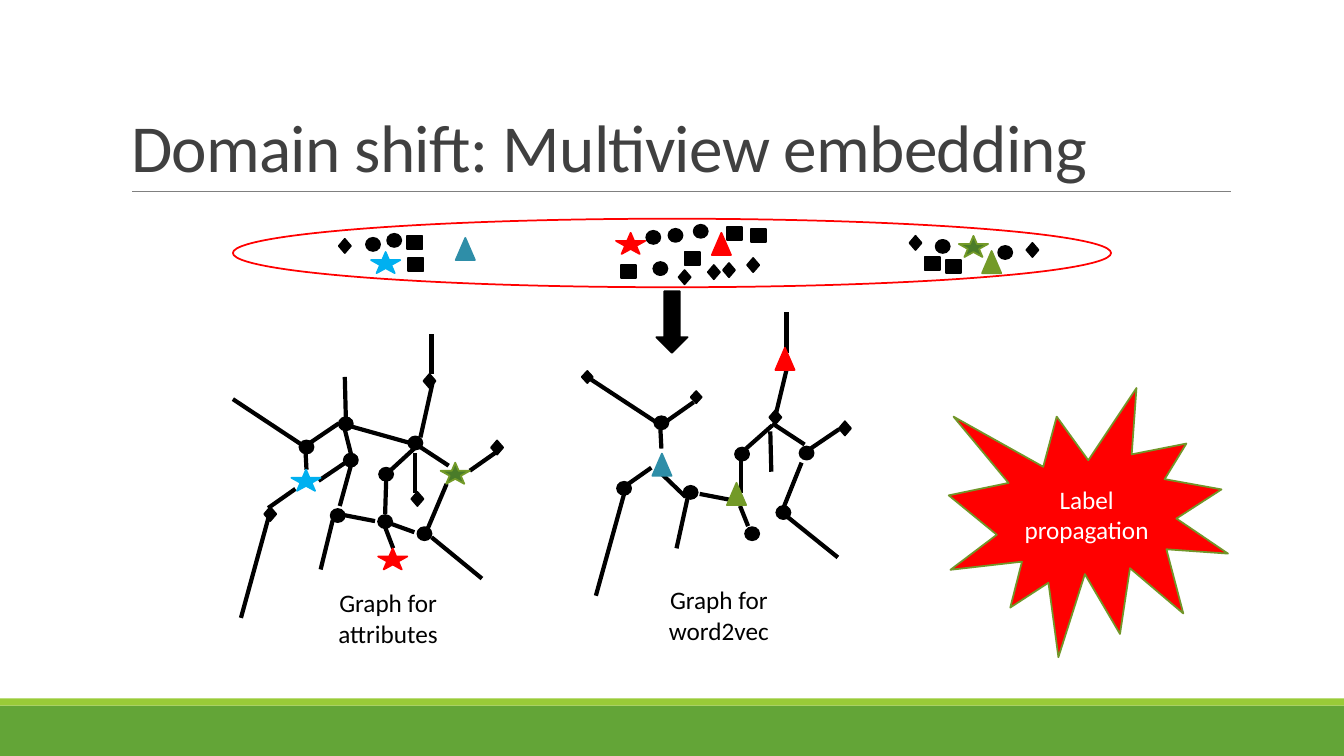
from lxml import etree
from pptx import Presentation
from pptx import util as u
from pptx.dml.color import RGBColor
from pptx.enum import shapes, text
from pptx.oxml import ns

PX = 9144  # 100 px to the inch
KIND = shapes.MSO_SHAPE


def paint(fill, colour):
    if colour is None:
        fill.background()
    else:
        fill.solid()
        fill.fore_color.rgb = RGBColor.from_string(colour)


def write(frame, words, size=18, colour="000000", align="CENTER", anchor="MIDDLE",
          line_spacing=None, tracking=None):
    frame.word_wrap = True
    frame.auto_size = text.MSO_AUTO_SIZE.NONE
    frame.vertical_anchor = text.MSO_ANCHOR[anchor]
    paragraph = frame.paragraphs[0]
    paragraph.alignment = text.PP_ALIGN[align]
    paragraph.line_spacing = line_spacing
    run = paragraph.add_run()
    run.text = words
    run.font.size = u.Pt(size)
    run.font.name = "Calibri"
    paint(run.font.fill, colour)
    if tracking is not None:
        run.font._element.set("spc", str(tracking))


deck = Presentation()
deck.slide_width, deck.slide_height = 1333 * PX, 750 * PX
slide = deck.slides.add_slide(deck.slide_layouts[5])

# Title
title = slide.shapes.title
title.left, title.top, title.width, title.height = (v * PX for v in (120, 31, 1100, 159))
write(title.text_frame, "Domain shift: Multiview embedding", size=48, colour="404040",
      align="LEFT", anchor="BOTTOM", line_spacing=0.85, tracking=-50)

# Edges of the two graphs: x1, y1, x2, y2
attribute_edges = [
    (308, 439, 336, 420), (337, 502, 348, 462), (348, 423, 405, 439),
    (343, 414, 342, 374), (304, 466, 303, 447), (266, 504, 293, 485),
    (231, 396, 299, 441), (348, 450, 342, 426), (316, 477, 344, 458),
    (413, 441, 445, 462), (388, 466, 413, 443), (341, 511, 372, 517),
    (318, 565, 330, 516), (382, 510, 383, 477), (424, 525, 443, 480),
    (386, 519, 411, 528), (390, 544, 382, 523), (417, 434, 429, 380),
    (466, 467, 493, 448), (428, 533, 478, 574), (412, 489, 412, 449),
    (428, 371, 428, 331), (239, 613, 267, 511),
]
word2vec_edges = [
    (661, 418, 688, 399), (656, 445, 655, 426), (619, 483, 646, 464),
    (584, 375, 651, 419), (653, 467, 680, 493), (766, 420, 798, 441),
    (740, 445, 766, 422), (694, 490, 725, 496), (671, 544, 682, 494),
    (735, 489, 735, 456), (777, 504, 795, 459), (742, 522, 734, 502),
    (769, 413, 782, 359), (804, 445, 832, 426), (780, 512, 831, 553),
    (765, 468, 764, 428), (780, 350, 780, 310), (591, 591, 619, 490),
]

# Title rule, then the graph edges
for edges, colour, weight in [
    ([(131, 190, 1221, 190)], "808080", 0.5),
    (attribute_edges + word2vec_edges, "000000", 3),
]:
    for ends in edges:
        edge = slide.shapes.add_connector(shapes.MSO_CONNECTOR.STRAIGHT, *(v * PX for v in ends))
        paint(edge.line.fill, colour)
        edge.line.width = u.Pt(weight)
        etree.SubElement(edge._element.spPr, ns.qn("a:effectLst"))

# Footer bars, embedding space, arrow and nodes: kind, size, fill, line, corners
BLACK = ("000000", "000000")
RED = ("FF0000", "FF0000")
BLUE = ("00B0F0", "00B0F0")
TEAL = ("2E8EA8", "2E8EA8")
GREEN = ("739A28", "739A28")
STAR, TRIANGLE = (KIND.STAR_5_POINT, 29, 21), (KIND.ISOSCELES_TRIANGLE, 19, 22)
marks = [
    (KIND.RECTANGLE, 1333, 50, "63A537", None, [(0, 700)]),
    (KIND.RECTANGLE, 1333, 7, "99CB38", None, [(0, 693)]),
    (KIND.OVAL, 871, 68, None, "FF0000", [(231, 217)]),
    (KIND.DOWN_ARROW, 31, 61, *BLACK, [(651, 289)]),
    (*STAR, *RED, [(611, 231), (375, 544)]),
    (*STAR, *BLUE, [(368, 250), (289, 466)]),
    (*STAR, "4A7C29", "739A28", [(951, 234), (437, 459)]),
    (*TRIANGLE, *RED, [(706, 231), (769, 345)]),
    (*TRIANGLE, *TEAL, [(452, 236), (647, 450)]),
    (*TRIANGLE, *GREEN, [(974, 249), (721, 479)]),
    (KIND.RECTANGLE, 15, 13, *BLACK, [
        (679, 250), (616, 263), (721, 225), (745, 227), (404, 234), (405, 256),
        (917, 255), (938, 258)]),
    (KIND.OVAL, 14, 13, *BLACK, [
        (641, 229), (663, 227), (648, 260), (688, 223), (363, 236), (384, 232),
        (928, 238), (990, 244),
        (297, 437), (336, 414), (341, 450), (405, 433), (376, 464), (328, 505),
        (375, 511), (414, 523),
        (649, 413), (612, 478), (678, 482), (739, 523), (770, 502), (729, 444),
        (793, 443)]),
    (KIND.DIAMOND, 12, 14, *BLACK, [
        (702, 263), (717, 261), (741, 256), (673, 268), (336, 237), (902, 234),
        (1018, 241),
        (420, 371), (487, 437), (408, 488), (262, 503),
        (763, 407), (832, 418)]),
    (KIND.DIAMOND, 11, 12, *BLACK, [(685, 388), (577, 368)]),
    (KIND.EXPLOSION1, 277, 267, "FF0000", "719629", [(941, 385)]),
]
for kind, width, height, fill, outline, corners in marks:
    for x, y in corners:
        mark = slide.shapes.add_shape(kind, x * PX, y * PX, width * PX, height * PX)
        mark.shadow.inherit = False
        paint(mark.fill, fill)
        paint(mark.line.fill, outline)
        if outline:
            mark.line.width = u.Pt(1.25)

# The burst is the last mark
write(mark.text_frame, "Label propagation", colour="FFFFFF")

# Graph captions
for caption, x, y in [("Graph for attributes", 280, 585), ("Graph for word2vec", 608, 582)]:
    label = slide.shapes.add_textbox(x * PX, y * PX, 210 * PX, 56 * PX)
    write(label.text_frame, caption)

deck.save("out.pptx")
